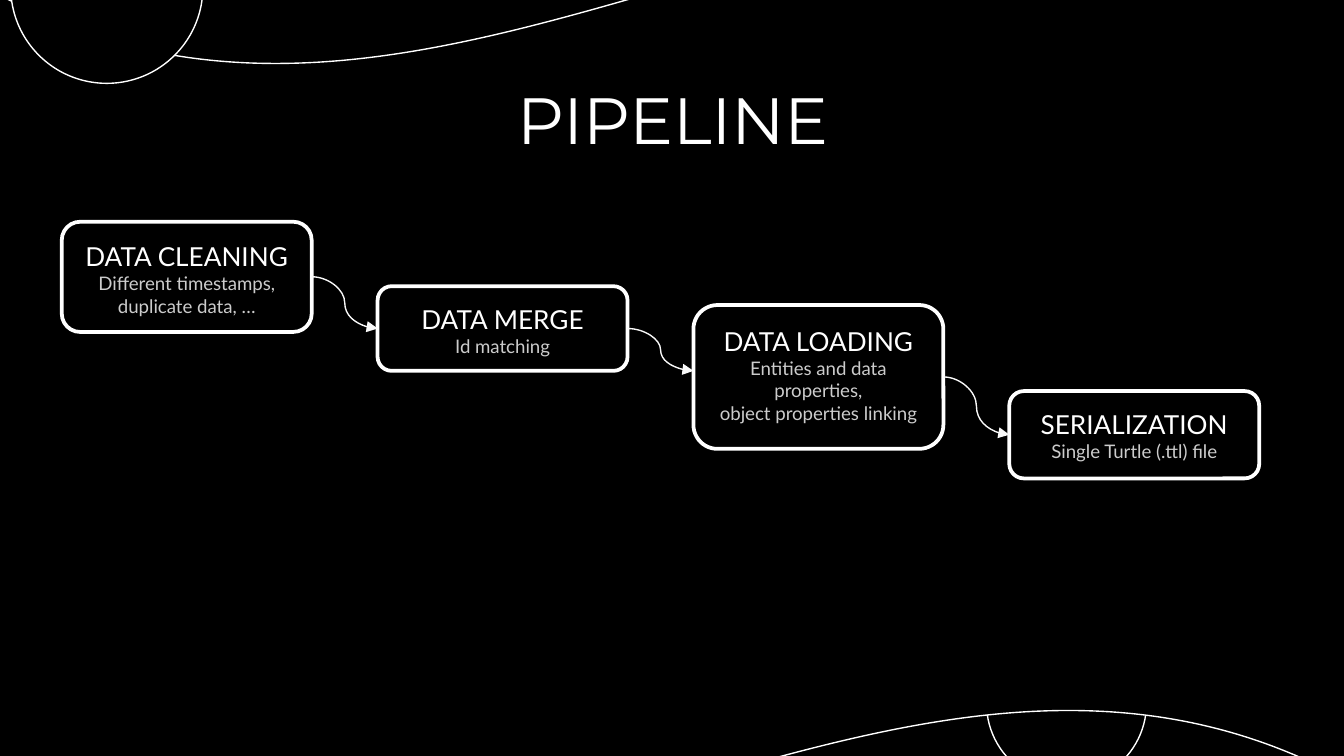
from lxml import etree
from pptx import Presentation
from pptx import util as u
from pptx.dml.color import RGBColor
from pptx.enum import shapes, text
from pptx.oxml import ns

BLACK, WHITE, ARROW, DETAIL = "000000", "FFFFFF", "F9F9F9", "CCCCCC"
STEP_LEFT, STEP_WIDTH, STEP_PITCH = 0.46, 1.86, 2.35
# top, height, heading, details
STEPS = [
    (1.65, 0.82, "DATA CLEANING", ["Different timestamps, duplicate data, …"]),
    (2.13, 0.63, "DATA MERGE", ["Id matching"]),
    (2.27, 1.07, "DATA LOADING",
     ["Entities and data properties,", "object properties linking"]),
    (2.91, 0.65, "SERIALIZATION", ["Single Turtle (.ttl) file"]),
]


def color(hex_value):
    return RGBColor.from_string(hex_value)


def write(paragraph, content, size, font="Lato", hex_color=WHITE):
    paragraph.alignment = text.PP_ALIGN.CENTER
    run = paragraph.add_run()
    run.text = content
    run.font.size = u.Pt(size)
    run.font.name = font
    run.font.color.rgb = color(hex_color)


def set_frame(frame):
    frame.word_wrap = True
    frame.auto_size = text.MSO_AUTO_SIZE.NONE
    frame.vertical_anchor = text.MSO_ANCHOR.TOP
    frame.margin_left = frame.margin_right = u.Inches(0.1)
    frame.margin_top = frame.margin_bottom = u.Inches(0.1)


def add_outlined(slide, kind, left, top, width, height, line_width=0.75):
    outlined = slide.shapes.add_shape(
        kind, u.Inches(left), u.Inches(top), u.Inches(width), u.Inches(height))
    outlined.shadow.inherit = False
    outlined.fill.solid()
    outlined.fill.fore_color.rgb = color(BLACK)
    outlined.line.color.rgb = color(WHITE)
    outlined.line.width = u.Pt(line_width)
    return outlined


def add_decoration(slide):
    kinds = shapes.MSO_SHAPE
    add_outlined(slide, kinds.OVAL, 7.34, 4.64, 1.19, 1.19)
    wave = add_outlined(slide, kinds.WAVE, -0.11, -0.69, 10.22, 7.14)
    wave.adjustments[0] = 0.083
    wave.adjustments[1] = 0
    wave._element.spPr.xfrm.set("flipH", "1")
    add_outlined(slide, kinds.OVAL, 0.08, -0.81, 1.43, 1.43)


def add_title(slide, content):
    """Fill the title placeholder and bring it in front of the wave."""
    title = slide.shapes.title
    title.left, title.top = u.Inches(0.79), u.Inches(0.49)
    title.width, title.height = u.Inches(8.43), u.Inches(0.63)
    set_frame(title.text_frame)
    write(title.text_frame.paragraphs[0], content, 35, font="Montserrat")
    slide.shapes._spTree.append(title._element)


def add_step(slide, left, top, height, heading, details):
    step = add_outlined(slide, shapes.MSO_SHAPE.ROUNDED_RECTANGLE,
                        left, top, STEP_WIDTH, height, line_width=2)
    frame = step.text_frame
    set_frame(frame)
    write(frame.paragraphs[0], heading, 14)
    for detail in details:
        write(frame.add_paragraph(), detail, 10, hex_color=DETAIL)
    return step


def add_arrow(slide, source, target, end_y=None):
    """Join two steps; end_y makes the arrow meet the target off its middle."""
    arrow = slide.shapes.add_connector(
        shapes.MSO_CONNECTOR.CURVE, 0, 0, target.left, u.Inches(end_y or 0))
    arrow.begin_connect(source, 3)
    if end_y is None:
        arrow.end_connect(target, 1)
    arrow.line.color.rgb = color(ARROW)
    arrow.line.width = u.Pt(0.75)
    properties = arrow._element.spPr
    etree.SubElement(properties.get_or_add_ln(), ns.qn("a:tailEnd"),
                     type="triangle")
    etree.SubElement(properties, ns.qn("a:effectLst"))


def main():
    deck = Presentation()
    deck.slide_width, deck.slide_height = u.Inches(10), u.Inches(10 * 9 / 16)
    slide = deck.slides.add_slide(deck.slide_layouts[5])
    slide.background.fill.solid()
    slide.background.fill.fore_color.rgb = color(BLACK)

    add_decoration(slide)
    add_title(slide, "PIPELINE")
    cleaning, merge, loading, serialization = [
        add_step(slide, STEP_LEFT + i * STEP_PITCH, *step)
        for i, step in enumerate(STEPS)]
    add_arrow(slide, cleaning, merge)
    add_arrow(slide, merge, loading, end_y=2.76)
    add_arrow(slide, loading, serialization)
    deck.save("out.pptx")


if __name__ == "__main__":
    main()
